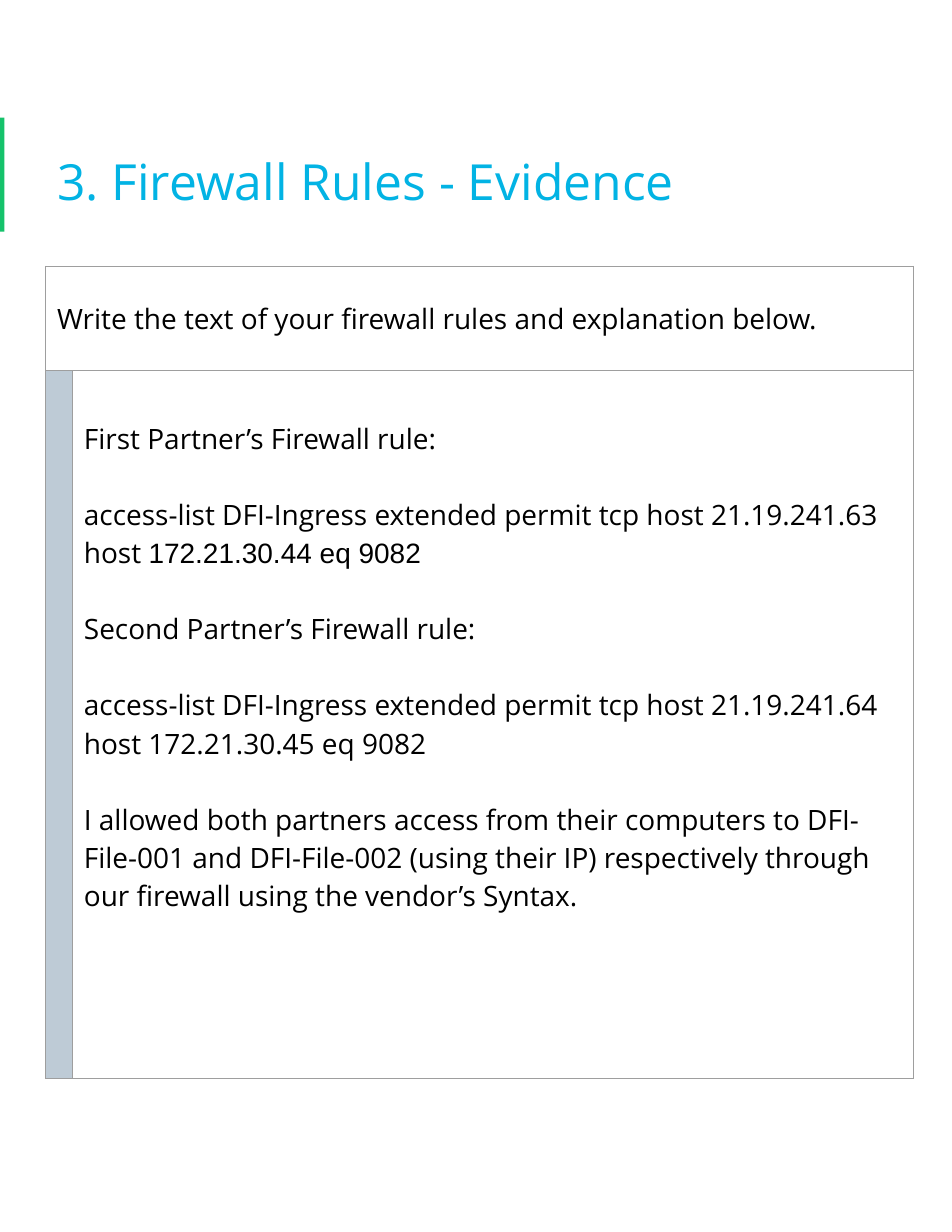
from lxml.etree import SubElement
from pptx import Presentation
from pptx.dml.color import RGBColor
from pptx.enum.shapes import MSO_SHAPE
from pptx.enum.text import MSO_ANCHOR, PP_ALIGN
from pptx.oxml import parse_xml
from pptx.oxml.ns import nsdecls, qn
from pptx.util import Pt

# Content
TITLE = "3. Firewall Rules - Evidence"
PROMPT = "Write the text of your firewall rules and explanation below."
SANS, ARIAL = "Open Sans", "Arial"
RULES = [
    [("First Partner’s Firewall rule:", SANS)],
    [("access-list DFI-Ingress extended permit tcp host 21.19.241.63 host ", SANS),
     ("172.21.30.44 eq 9082", ARIAL)],
    [("Second Partner’s Firewall rule:", SANS)],
    [("access-list DFI-Ingress extended permit tcp host 21.19.241.64 "
      "host 172.21.30.45 eq 9082", SANS)],
    [("I allowed both partners access from their computers to DFI-File-001 "
      "and DFI-File-002 (using their IP) respectively through our firewall "
      "using the vendor’s Syntax.", SANS)],
]
COLS, ROWS = [17, 540.5], [67, 455]
PAD, LINE = 7.2, 24.4


def color(code):
    return RGBColor.from_string(code)


def style(run, face, size, code):
    run.font.name, run.font.size = face, Pt(size)
    run.font.color.rgb = color(code)


def pad(box):
    box.margin_left = box.margin_right = Pt(PAD)
    box.margin_top = box.margin_bottom = Pt(PAD)


def paint(shape, code):
    shape.fill.solid()
    shape.fill.fore_color.rgb = color(code)


def border(cell, code, width):
    props = cell._tc.get_or_add_tcPr()
    for spot, side in enumerate(("lnL", "lnR", "lnT", "lnB")):
        line = parse_xml(f'<a:{side} {nsdecls("a")} w="{Pt(width)}"/>')
        fill = SubElement(line, qn("a:solidFill"))
        SubElement(fill, qn("a:srgbClr"), val=code)
        props.insert(spot, line)


def write(cell, paras):
    frame = cell.text_frame
    for n, parts in enumerate(paras):
        para = frame.add_paragraph() if n else frame.paragraphs[0]
        if n:
            para.space_before = Pt(LINE)
        for text, face in parts:
            run = para.add_run()
            run.text = text
            style(run, face, 18, "000000")


deck = Presentation()
deck.slide_width, deck.slide_height = Pt(612), Pt(792)
slide = deck.slides.add_slide(deck.slide_layouts[5])

# Title and its green accent
title = slide.shapes.title
title.left, title.top, title.width, title.height = Pt(29.5), Pt(69), Pt(570), Pt(88)
frame = title.text_frame
frame.text = TITLE
frame.word_wrap = True
frame.vertical_anchor = MSO_ANCHOR.MIDDLE
pad(frame)
para = frame.paragraphs[0]
para.alignment, para.line_spacing = PP_ALIGN.LEFT, 1.15
style(para.runs[0], SANS, 32, "02B3E4")

accent = slide.shapes.add_shape(MSO_SHAPE.RECTANGLE, 0, Pt(75.6), Pt(2.9), Pt(73.4))
accent.shadow.inherit = False
paint(accent, "15C26B")
accent.line.fill.background()

# Table: prompt across the top, grey strip beside the rules
table = slide.shapes.add_table(2, 2, Pt(29.5), Pt(171.3),
                               Pt(sum(COLS)), Pt(sum(ROWS))).table
table.first_row = table.horz_banding = False
for col, width in zip(table.columns, COLS):
    col.width = Pt(width)
for row, height in zip(table.rows, ROWS):
    row.height = Pt(height)
for cell in table.iter_cells():
    pad(cell)
    cell.fill.background()
    border(cell, "9E9E9E", 0.75)

head, strip, body = table.cell(0, 0), table.cell(1, 0), table.cell(1, 1)
head.merge(table.cell(0, 1))
head.vertical_anchor = MSO_ANCHOR.MIDDLE
write(head, [[(PROMPT, SANS)]])
paint(strip, "BECBD6")
body.margin_top = Pt(PAD + LINE)
write(body, RULES)

deck.save("out.pptx")
